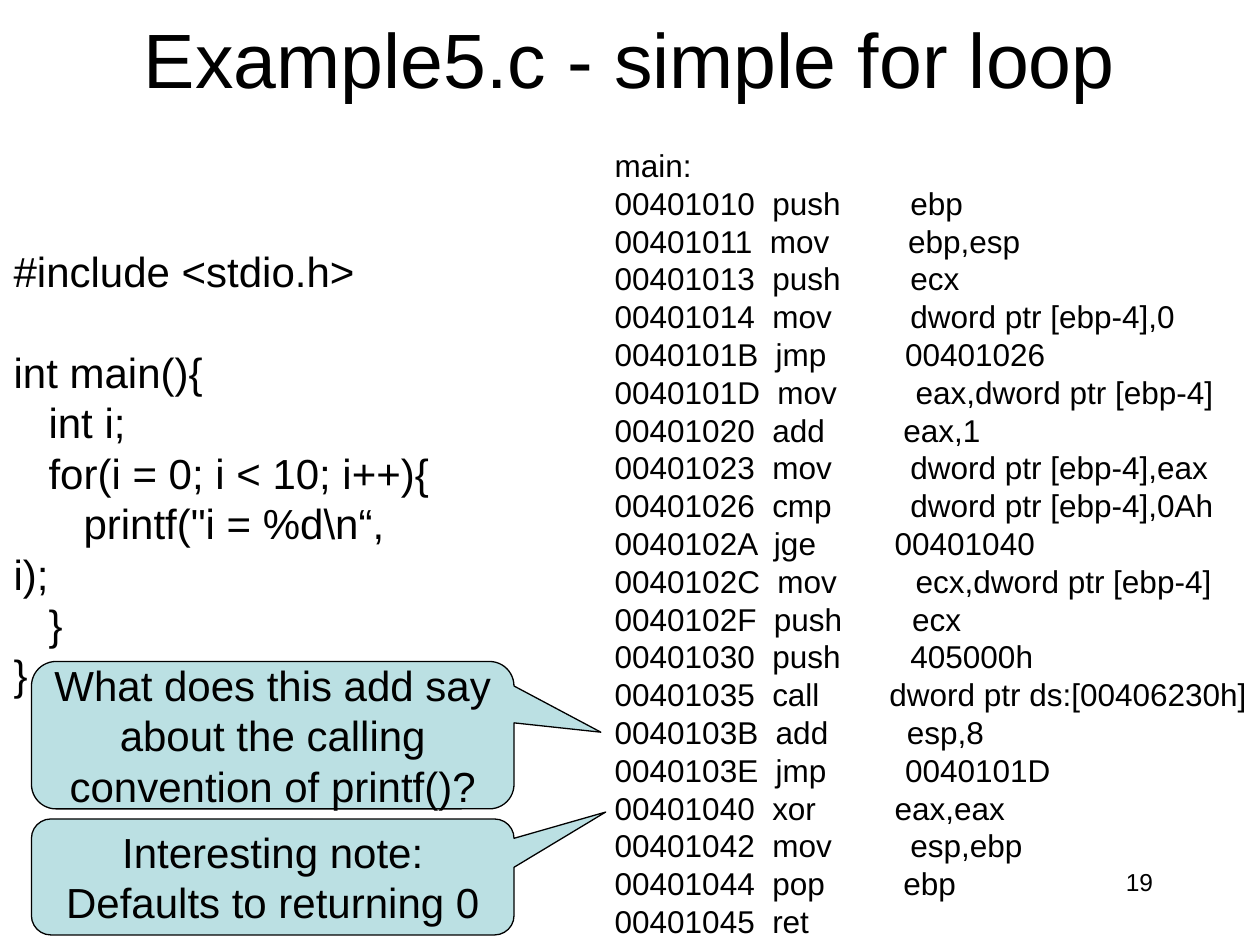
"""Build the slide that sets a simple for loop in C beside its disassembly."""
import lxml.etree
import pptx
import pptx.dml.color
import pptx.enum.shapes
import pptx.enum.text
import pptx.oxml.ns
import pptx.util

Inches = pptx.util.Inches
Pt = pptx.util.Pt
Align = pptx.enum.text.PP_ALIGN
Anchor = pptx.enum.text.MSO_ANCHOR
Fit = pptx.enum.text.MSO_AUTO_SIZE
COLORS = {"ink": "000000", "note": "BBE0E3", "back": "FFFFFF"}

SOURCE = r"""#include <stdio.h>

int main(){
   int i;
   for(i = 0; i < 10; i++){
      printf("i = %d\n“, i);
   }
}"""

LISTING = """main:
00401010  push        ebp
00401011  mov         ebp,esp
00401013  push        ecx
00401014  mov         dword ptr [ebp-4],0
0040101B  jmp         00401026
0040101D  mov         eax,dword ptr [ebp-4]
00401020  add         eax,1
00401023  mov         dword ptr [ebp-4],eax
00401026  cmp         dword ptr [ebp-4],0Ah
0040102A  jge         00401040
0040102C  mov         ecx,dword ptr [ebp-4]
0040102F  push        ecx
00401030  push        405000h
00401035  call        dword ptr ds:[00406230h]
0040103B  add         esp,8
0040103E  jmp         0040101D
00401040  xor         eax,eax
00401042  mov         esp,ebp
00401044  pop         ebp
00401045  ret"""


def color(name):
    return pptx.dml.color.RGBColor.from_string(COLORS[name])


def write(shape, text, size, align, anchor=Anchor.MIDDLE, wrap=True):
    frame = shape.text_frame
    frame.text = text
    frame.word_wrap = wrap
    frame.auto_size = Fit.NONE if wrap else Fit.SHAPE_TO_FIT_TEXT
    frame.vertical_anchor = anchor
    for line in frame.paragraphs:
        line.alignment = align
        for run in line.runs:
            run.font.name = "Arial"
            run.font.size = Pt(size)
            run.font.color.rgb = color("ink")
        if not line.runs:
            tail = pptx.oxml.ns.qn("a:endParaRPr")
            lxml.etree.SubElement(line._p, tail, sz=str(size * 100))


deck = pptx.Presentation()
deck.slide_width, deck.slide_height = Inches(10), Inches(7.5)
slide = deck.slides.add_slide(deck.slide_layouts[5])
slide.background.fill.solid()
slide.background.fill.fore_color.rgb = color("back")

title = slide.shapes.title
title.left, title.top = Inches(0.75), Inches(-0.17)
title.width, title.height = Inches(8.5), Inches(1.25)
write(title, "Example5.c - simple for loop", 44, Align.CENTER)

texts = [
    ("19", 14, Align.RIGHT, Anchor.TOP, True, (7.17, 6.83, 2.08, 0.5)),
    (LISTING, 18, Align.LEFT, Anchor.MIDDLE, False, (4.78, 1.11, 5.28, 6.4)),
    (SOURCE, 24, Align.LEFT, Anchor.MIDDLE, False, (0.01, 2.1, 3.51, 3.3)),
]
for text, size, align, anchor, wrap, place in texts:
    box = slide.shapes.add_textbox(*map(Inches, place))
    write(box, text, size, align, anchor, wrap)

notes = [
    ("Interesting note: Defaults to returning 0", 6.5, 0.92, (0.69, -0.56)),
    ("What does this add say about the calling convention of printf()?",
     5.25, 1.17, (0.68, -0.02)),
]
for text, top, height, tip in notes:
    note = slide.shapes.add_shape(
        pptx.enum.shapes.MSO_SHAPE.ROUNDED_RECTANGULAR_CALLOUT,
        Inches(0.25), Inches(top), Inches(3.83), Inches(height))
    note.adjustments[0], note.adjustments[1] = tip
    note.shadow.inherit = False
    note.fill.solid()
    note.fill.fore_color.rgb = color("note")
    note.line.color.rgb = color("ink")
    note.line.width = Pt(0.75)
    write(note, text, 24, Align.CENTER)

deck.save("out.pptx")
